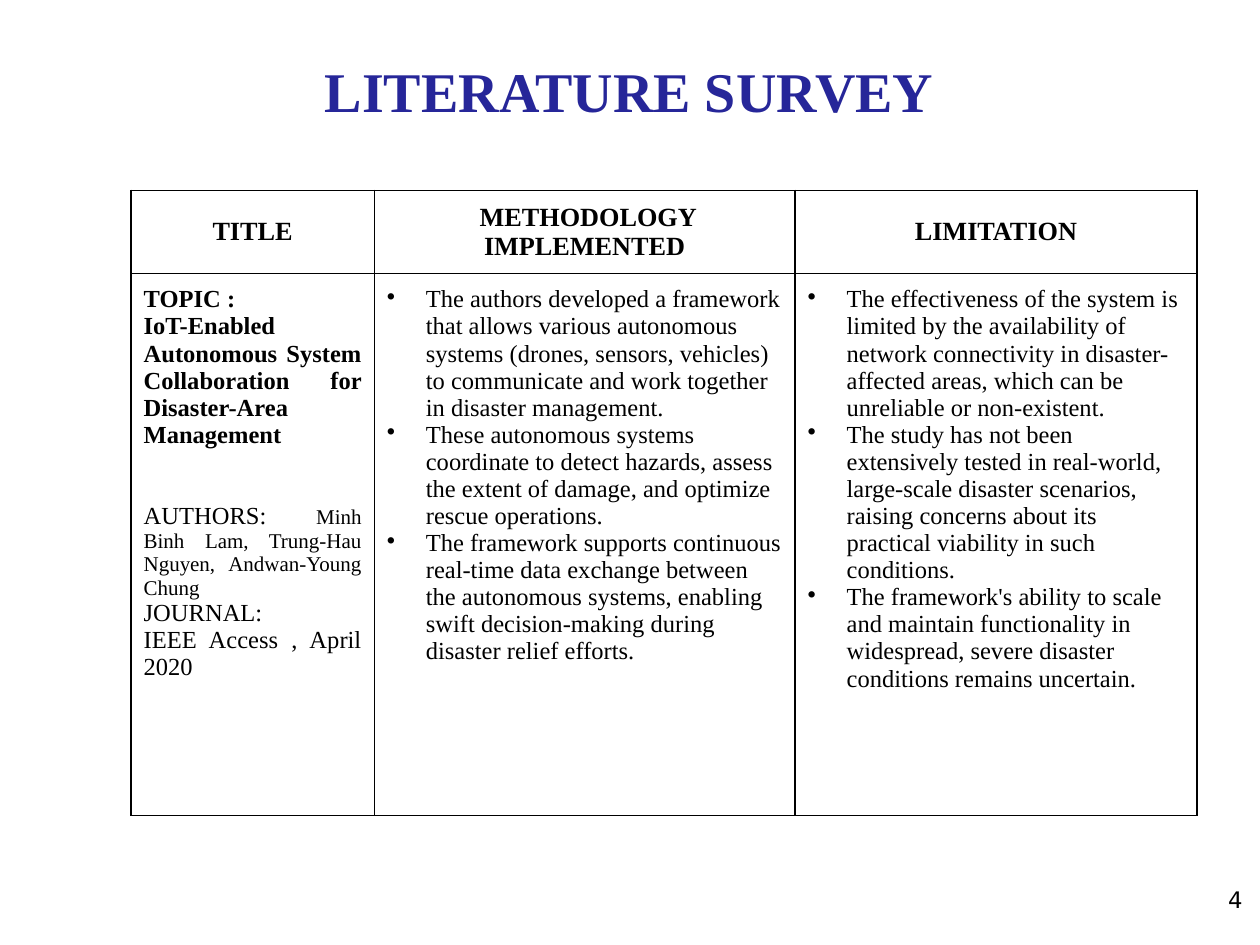
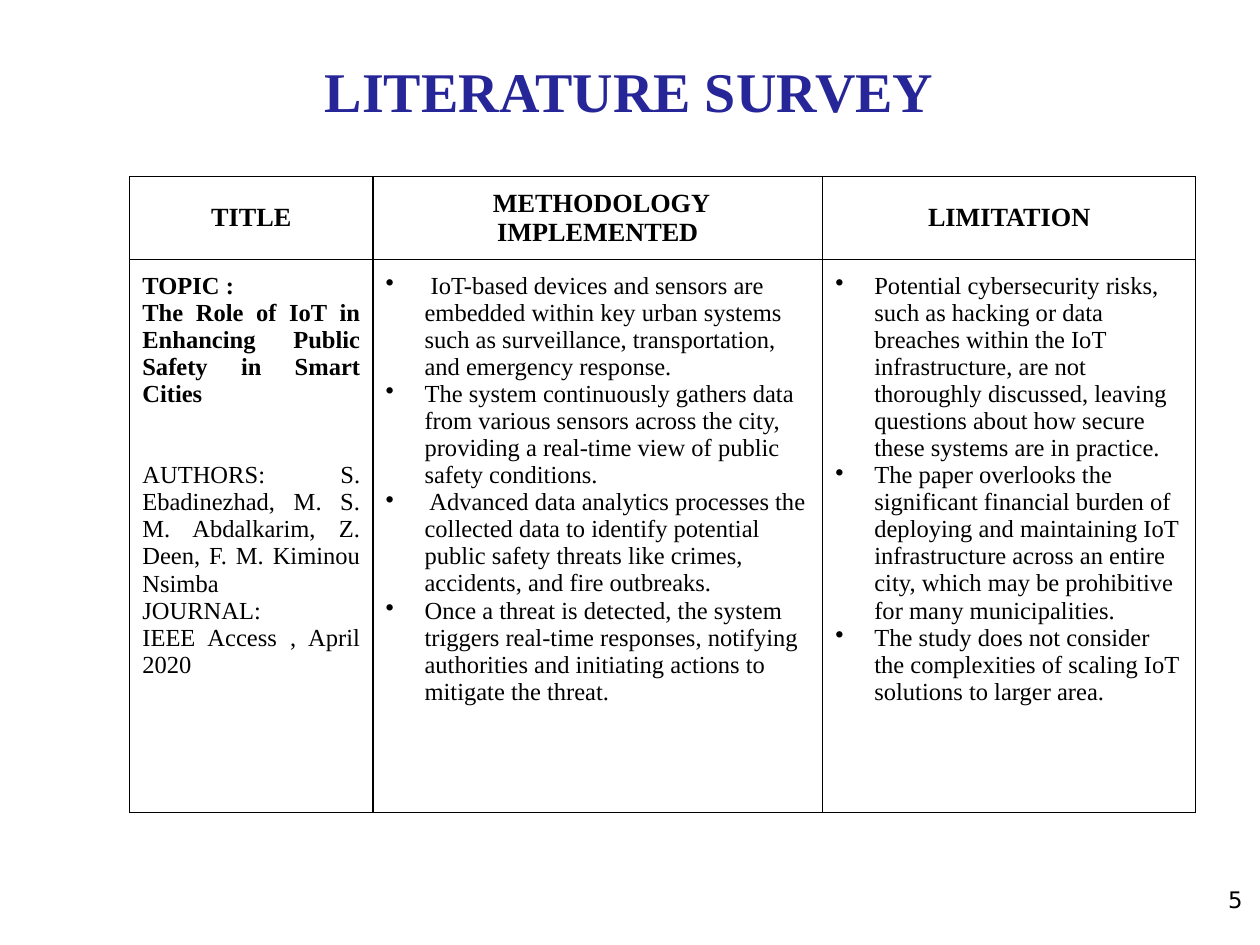
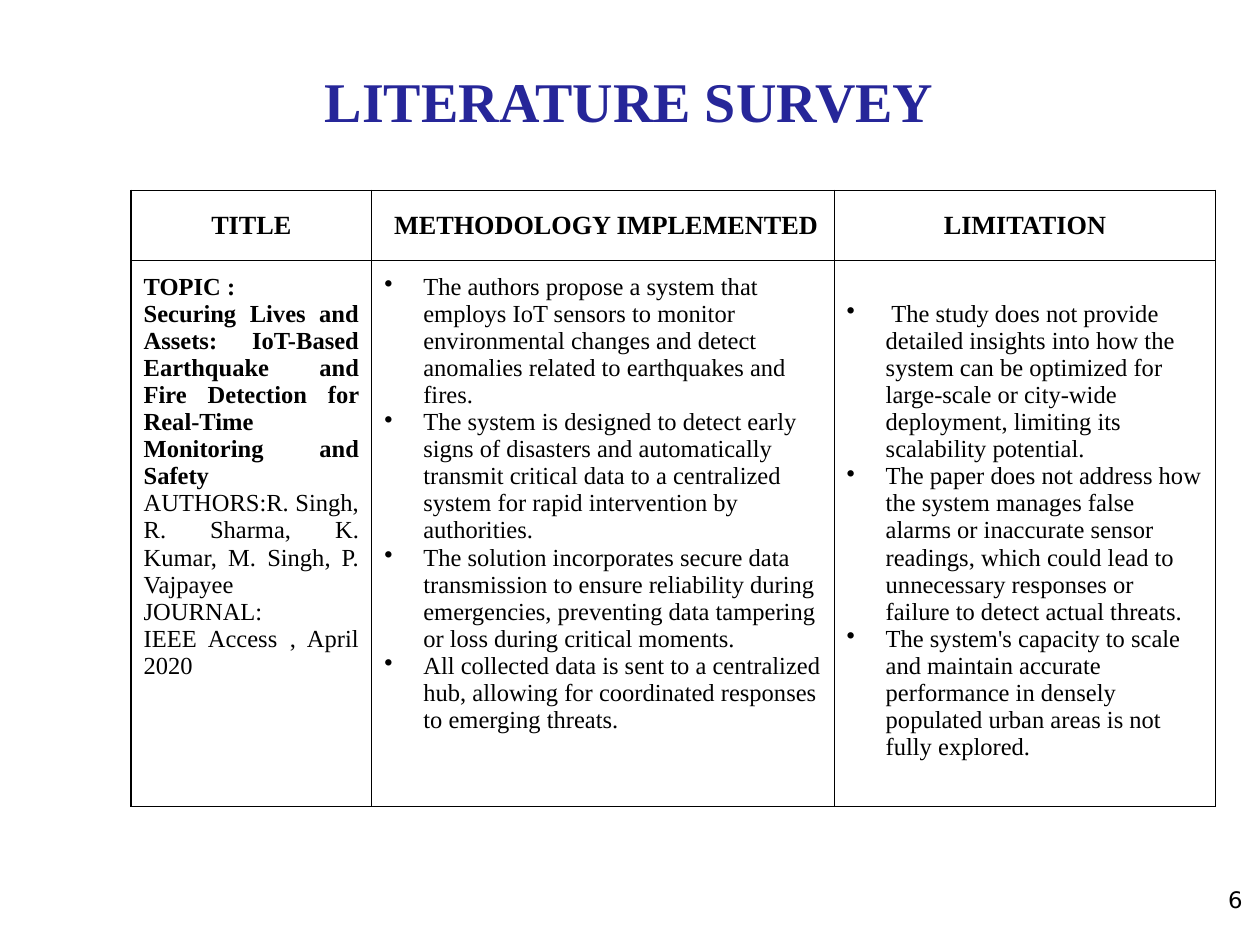
"""Builds three literature survey slides, each with one table."""
from dataclasses import dataclass

from lxml import etree
from pptx import Presentation
from pptx.dml.color import RGBColor
from pptx.enum.text import MSO_ANCHOR, PP_ALIGN
from pptx.oxml.ns import qn
from pptx.util import Inches, Pt

MID, TOP = MSO_ANCHOR.MIDDLE, MSO_ANCHOR.TOP
LEFT, CENTER, RIGHT, JUST = PP_ALIGN.LEFT, PP_ALIGN.CENTER, PP_ALIGN.RIGHT, PP_ALIGN.JUSTIFY
HEADS = ["TITLE", " METHODOLOGY IMPLEMENTED", "LIMITATION"]


@dataclass(frozen=True)
class Theme:
    serif: str = "Times New Roman"
    sans: str = "DejaVu Sans"
    blue: str = "262699"
    ink: str = "000000"
    paper: str = "FFFFFF"
    title: int = 32
    head: int = 15
    body: int = 14
    page: int = 13
    gap: int = 31
    rule: float = 0.75


class Deck:
    def __init__(self, theme):
        self.theme = theme
        self.prs = Presentation()
        self.prs.slide_width, self.prs.slide_height = Inches(10), Inches(7.5)
        self.unit = self.prs.slide_width / 100
        self.slide = None

    def grid(self, *spans):
        return [round(span * self.unit) for span in spans]

    def start(self):
        self.slide = self.prs.slides.add_slide(self.prs.slide_layouts[5])

    def style(self, run, size, bold=False, color=None, face=None):
        font = run.font
        font.name = face or self.theme.serif
        font.size, font.bold = Pt(size), bold
        font.color.rgb = RGBColor.from_string(color or self.theme.ink)

    def inset(self, box, top=1):
        sides = self.grid(1, top, 1, 1)
        box.margin_left, box.margin_top, box.margin_right, box.margin_bottom = sides

    def title(self, text, top):
        shape = self.slide.shapes.title
        shape.left, shape.top, shape.width, shape.height = self.grid(5, top, 89.9, 14.3)
        frame = shape.text_frame
        frame.text = text
        frame.vertical_anchor = MID
        para = frame.paragraphs[0]
        para.alignment = CENTER
        self.style(para.runs[0], self.theme.title, True, self.theme.blue)

    def page(self, number):
        frame = self.slide.shapes.add_textbox(*self.grid(93.6, 69.3, 6, 5.7)).text_frame
        frame.word_wrap = True
        self.inset(frame)
        frame.text = str(number)
        para = frame.paragraphs[0]
        para.alignment = RIGHT
        self.style(para.runs[0], self.theme.page, face=self.theme.sans)

    def bullet(self, para):
        props = para._p.get_or_add_pPr()
        indent, = self.grid(3.1)
        props.set("marL", str(indent))
        props.set("indent", str(-indent))
        tint = etree.SubElement(props, qn("a:buClr"))
        etree.SubElement(tint, qn("a:srgbClr"), val=self.theme.ink)
        etree.SubElement(props, qn("a:buChar"), char="•")

    def border(self, cell):
        props = cell._tc.get_or_add_tcPr()
        for side in "LRTB":
            line = etree.SubElement(props, qn(f"a:ln{side}"), w=str(Pt(self.theme.rule)))
            fill = etree.SubElement(line, qn("a:solidFill"))
            etree.SubElement(fill, qn("a:srgbClr"), val=self.theme.ink)

    def fill(self, cell, lines, align, size, bold=0, anchor=TOP, dots=False, drop=0):
        self.border(cell)
        cell.fill.solid()
        cell.fill.fore_color.rgb = RGBColor.from_string(self.theme.paper)
        self.inset(cell, 1 + drop)
        cell.vertical_anchor = anchor
        frame = cell.text_frame
        frame.text = "\n".join(lines)
        for rank, para in enumerate(frame.paragraphs):
            para.alignment = align
            if dots:
                self.bullet(para)
            for run in para.runs:
                self.style(run, size, rank < bold)
        return frame.paragraphs

    def paper(self, cell, topic, names, space, small=None):
        lines = ["TOPIC :", topic, names, "JOURNAL:", "IEEE Access , April 2020"]
        paras = self.fill(cell, lines, JUST, self.theme.body, bold=2)
        if space:
            paras[2].space_before = Pt(self.theme.gap)
        if small:
            run = paras[2].add_run()
            run.text = small
            self.style(run, 12)

    def table(self, left, top, cols, rows, paper, method, limits, drop=0):
        spans = self.grid(left, top, sum(cols), sum(rows))
        grid = self.slide.shapes.add_table(2, 3, *spans).table
        grid.first_row = grid.horz_banding = False
        for col, width in zip(grid.columns, self.grid(*cols)):
            col.width = width
        for row, height in zip(grid.rows, self.grid(*rows)):
            row.height = height
        for spot, text in enumerate(HEADS):
            self.fill(grid.cell(0, spot), [text], CENTER, self.theme.head, 1, MID)
        self.paper(grid.cell(1, 0), **paper)
        for spot, lines, shift in ((1, method, 0), (2, limits, drop)):
            self.fill(grid.cell(1, spot), lines, LEFT, self.theme.body, dots=True, drop=shift)


SURVEY = [
    (0, dict(
        left=10.4, top=15.1, cols=(19.3, 33.4, 31.9), rows=(6.6, 43),
        paper=dict(
            topic="IoT-Enabled Autonomous System Collaboration for Disaster-Area Management",
            names="AUTHORS: ", space=True,
            small="Minh Binh Lam, Trung-Hau Nguyen, Andwan-Young Chung"),
        method=[
            "The authors developed a framework that allows various autonomous systems (drones, "
            "sensors, vehicles) to communicate and work together in disaster management.",
            "These autonomous systems coordinate to detect hazards, assess the extent of damage, "
            "and optimize rescue operations.",
            "The framework supports continuous real-time data exchange between the autonomous "
            "systems, enabling swift decision-making during disaster relief efforts."],
        limits=[
            "The effectiveness of the system is limited by the availability of network "
            "connectivity in disaster-affected areas, which can be unreliable or non-existent.",
            "The study has not been extensively tested in real-world, large-scale disaster "
            "scenarios, raising concerns about its practical viability in such conditions.",
            "The framework's ability to scale and maintain functionality in widespread, severe "
            "disaster conditions remains uncertain."])),
    (0, dict(
        left=10.3, top=14, cols=(19.3, 35.7, 29.6), rows=(6.6, 43.9),
        paper=dict(
            topic="The Role of IoT in Enhancing Public Safety in Smart Cities",
            names="AUTHORS: S. Ebadinezhad, M. S. M. Abdalkarim, Z. Deen, F. M. Kiminou Nsimba",
            space=True),
        method=[
            " IoT-based devices and sensors are embedded within key urban systems such as "
            "surveillance, transportation, and emergency response.",
            "The system continuously gathers data from various sensors across the city, "
            "providing a real-time view of public safety conditions.",
            " Advanced data analytics processes the collected data to identify potential public "
            "safety threats like crimes, accidents, and fire outbreaks.",
            "Once a threat is detected, the system triggers real-time responses, notifying "
            "authorities and initiating actions to mitigate the threat."],
        limits=[
            "Potential cybersecurity risks, such as hacking or data breaches within the IoT "
            "infrastructure, are not thoroughly discussed, leaving questions about how secure "
            "these systems are in practice.",
            "The paper overlooks the significant financial burden of deploying and maintaining "
            "IoT infrastructure across an entire city, which may be prohibitive for many "
            "municipalities.",
            "The study does not consider the complexities of scaling IoT solutions to larger "
            "area."])),
    (0.8, dict(
        left=10.4, top=15.1, cols=(19.1, 36.7, 30.3), rows=(5.6, 43.3), drop=2.15,
        paper=dict(
            topic="Securing Lives and Assets: IoT-Based Earthquake and Fire Detection for "
                  "Real-Time Monitoring and Safety",
            names="AUTHORS:R. Singh, R. Sharma, K. Kumar, M. Singh, P. Vajpayee",
            space=False),
        method=[
            "The authors propose a system that employs IoT sensors to monitor environmental "
            "changes and detect anomalies related to earthquakes and fires.",
            "The system is designed to detect early signs of disasters and automatically "
            "transmit critical data to a centralized system for rapid intervention by "
            "authorities.",
            "The solution incorporates secure data transmission to ensure reliability during "
            "emergencies, preventing data tampering or loss during critical moments.",
            "All collected data is sent to a centralized hub, allowing for coordinated "
            "responses to emerging threats."],
        limits=[
            " The study does not provide detailed insights into how the system can be optimized "
            "for large-scale or city-wide deployment, limiting its scalability potential.",
            "The paper does not address how the system manages false alarms or inaccurate "
            "sensor readings, which could lead to unnecessary responses or failure to detect "
            "actual threats.",
            "The system's capacity to scale and maintain accurate performance in densely "
            "populated urban areas is not fully explored."])),
]


def main():
    deck = Deck(Theme())
    for number, (top, study) in enumerate(SURVEY, 4):
        deck.start()
        deck.title("LITERATURE SURVEY", top)
        deck.table(**study)
        deck.page(number)
    deck.prs.save("out.pptx")


if __name__ == "__main__":
    main()
